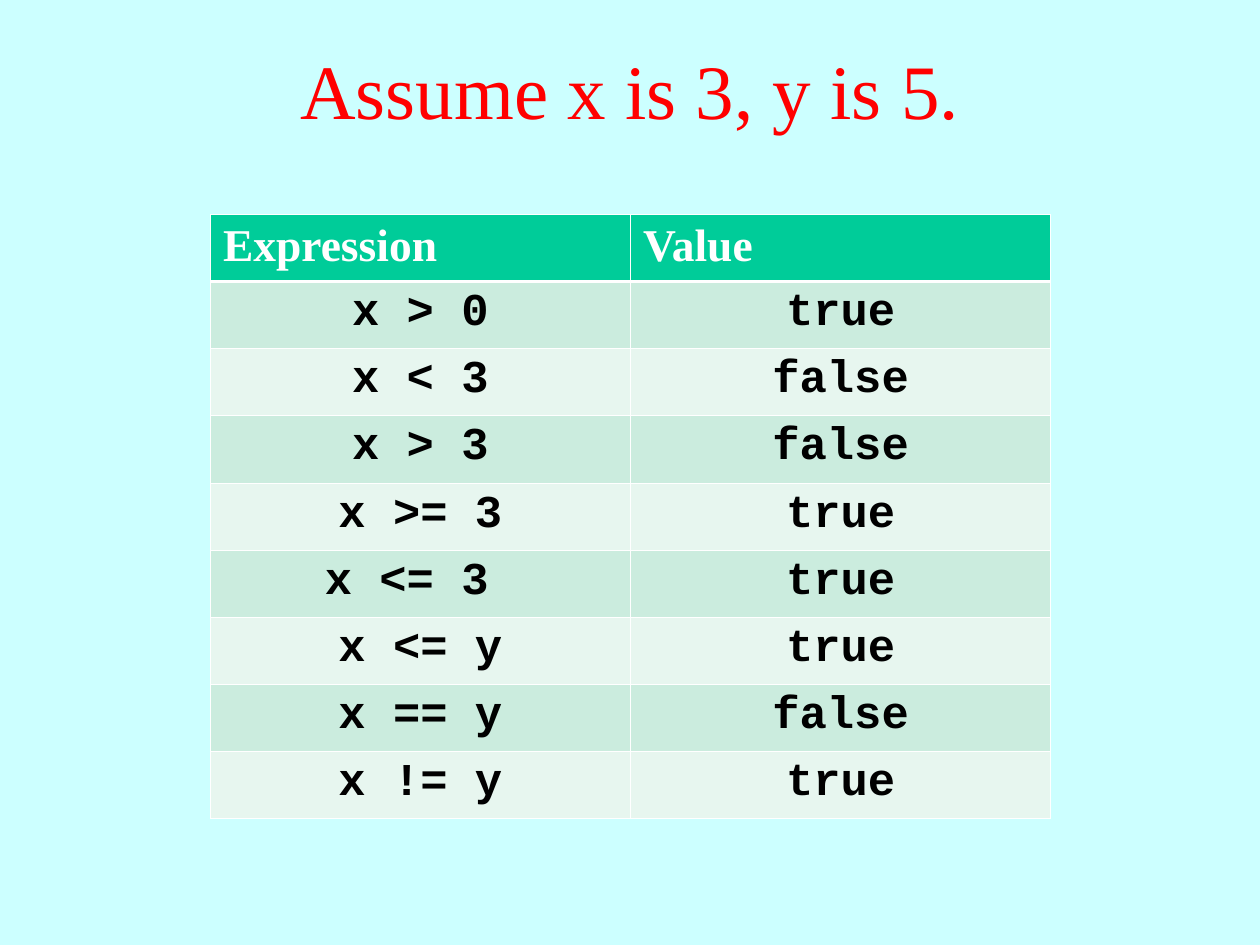
from lxml import etree
from pptx import Presentation
from pptx import util as u
from pptx.dml.color import RGBColor
from pptx.enum import text
from pptx.oxml import ns

SKY = RGBColor(0xCC, 0xFF, 0xFF)
RED = RGBColor(0xFF, 0x00, 0x00)
WHITE = RGBColor(0xFF, 0xFF, 0xFF)
BLACK = RGBColor(0x00, 0x00, 0x00)
GREEN = RGBColor(0x00, 0xCC, 0x99)
BANDS = (RGBColor(0xCB, 0xEC, 0xDE), RGBColor(0xE7, 0xF6, 0xEF))

SERIF = "Times New Roman"
MONO = "Courier New"
THIN, THICK = 0.45, 1.47

HEADINGS = ("Expression", "Value")
COMPARISONS = [
    ("x > 0", "true"),
    ("x < 3", "false"),
    ("x > 3", "false"),
    ("x >= 3", "true"),
    ("x <= 3 ", "true"),
    ("x <= y", "true"),
    ("x == y", "false"),
    ("x != y", "true"),
]

HEADING_FORMAT = {"name": SERIF, "size": u.Pt(26), "bold": True}
CODE_FORMAT = {"name": MONO, "size": u.Pt(26), "bold": True}
TITLE_FORMAT = {"name": SERIF, "size": u.Pt(44), "bold": False}


def write(frame, words, font_format, color, alignment):
    paragraph = frame.paragraphs[0]
    run = paragraph.add_run()
    run.text = words
    paragraph.alignment = alignment
    for attribute, value in font_format.items():
        setattr(run.font, attribute, value)
    run.font.color.rgb = color


def add_title(slide, words):
    title = slide.shapes.title
    place = {"left": 0, "top": 0.08, "width": 10, "height": 1.25}
    for attribute, value in place.items():
        setattr(title, attribute, u.Inches(value))
    title.text_frame.vertical_anchor = text.MSO_ANCHOR.MIDDLE
    write(title.text_frame, words, TITLE_FORMAT, RED, text.PP_ALIGN.CENTER)


def draw_borders(cell, top, bottom):
    properties = cell._tc.get_or_add_tcPr()
    widths = {"a:lnL": THIN, "a:lnR": THIN, "a:lnT": top, "a:lnB": bottom}
    for tag, width in widths.items():
        border = etree.SubElement(properties, ns.qn(tag), w=str(u.Pt(width)))
        fill = etree.SubElement(border, ns.qn("a:solidFill"))
        etree.SubElement(fill, ns.qn("a:srgbClr"), val=str(WHITE))


def fill_row(cells, entries, fill, font_format, color, alignment, top, bottom):
    for cell, entry in zip(cells, entries):
        draw_borders(cell, top, bottom)
        cell.fill.solid()
        cell.fill.fore_color.rgb = fill
        write(cell.text_frame, entry, font_format, color, alignment)


def add_truth_table(slide):
    frame = slide.shapes.add_table(
        len(COMPARISONS) + 1, len(HEADINGS),
        u.Inches(1.67), u.Inches(1.7), u.Inches(6.67), u.Inches(4.8))
    rows = frame.table.rows
    fill_row(rows[0].cells, HEADINGS, GREEN, HEADING_FORMAT, WHITE,
             text.PP_ALIGN.LEFT, THIN, THICK)
    for index, comparison in enumerate(COMPARISONS):
        fill_row(rows[index + 1].cells, comparison, BANDS[index % 2],
                 CODE_FORMAT, BLACK, text.PP_ALIGN.CENTER,
                 THIN if index else THICK, THIN)


def main():
    deck = Presentation()
    deck.slide_width = u.Inches(10)
    deck.slide_height = u.Inches(7.5)
    slide = deck.slides.add_slide(deck.slide_layouts[5])
    slide.background.fill.solid()
    slide.background.fill.fore_color.rgb = SKY
    add_title(slide, "Assume x is 3, y is 5.")
    add_truth_table(slide)
    deck.save("out.pptx")


if __name__ == "__main__":
    main()
